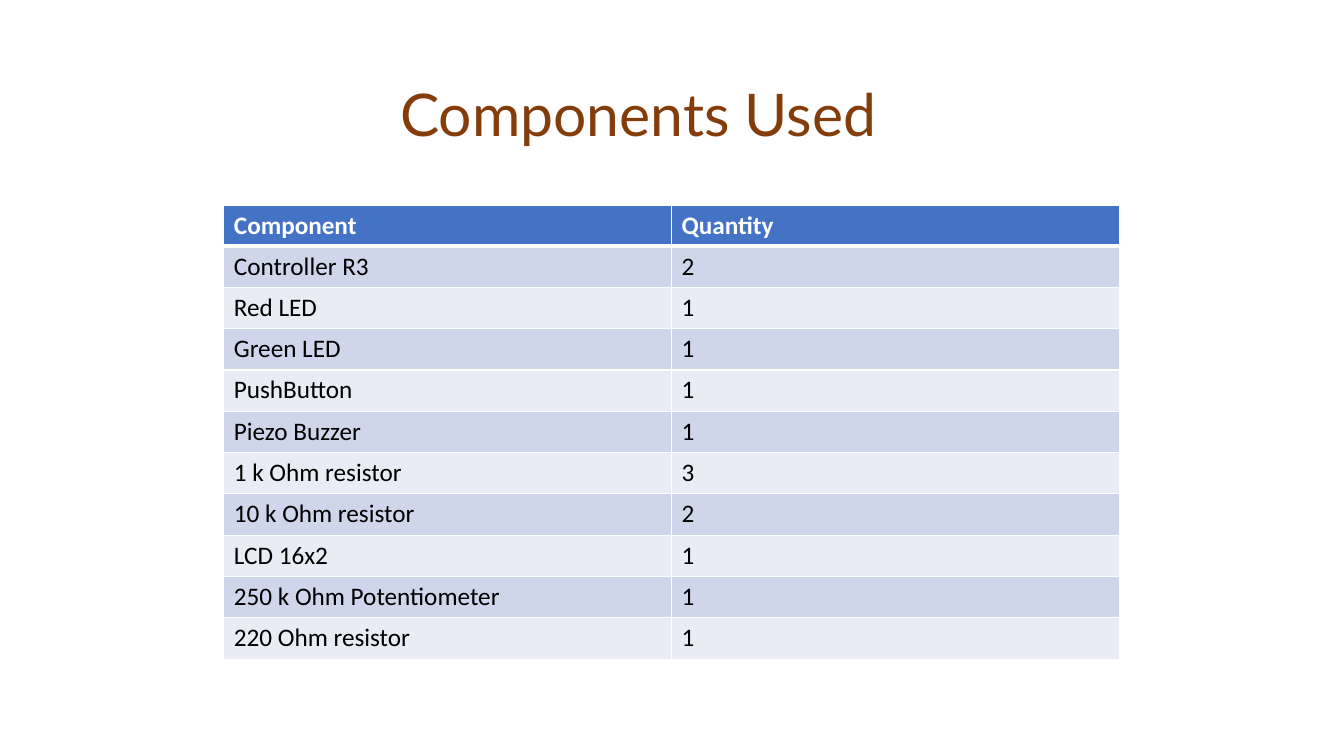
from lxml import etree
from pptx import Presentation
from pptx.dml.color import RGBColor
from pptx.enum import text
from pptx.oxml import ns
from pptx.util import Inches, Pt

BROWN = RGBColor(0x84, 0x3C, 0x0B)
BLUE = RGBColor(0x44, 0x72, 0xC4)
BAND_DARK = RGBColor(0xCF, 0xD5, 0xEA)
BAND_LIGHT = RGBColor(0xE9, 0xEB, 0xF5)
WHITE = RGBColor(0xFF, 0xFF, 0xFF)
BLACK = RGBColor(0, 0, 0)

COMPONENTS = [
    ("Component", "Quantity"),
    ("Controller R3", "2"),
    ("Red LED", "1"),
    ("Green LED", "1"),
    ("PushButton", "1"),
    ("Piezo Buzzer", "1"),
    ("1 k Ohm resistor", "3"),
    ("10 k Ohm resistor", "2"),
    ("LCD 16x2", "1"),
    ("250 k Ohm Potentiometer", "1"),
    ("220 Ohm resistor", "1"),
]


def style_text(paragraph, font_name, size, color, bold=False):
    font = paragraph.runs[0].font
    font.name = font_name
    font.size = Pt(size)
    font.color.rgb = color
    font.bold = bold


def add_border(cell, side, width):
    line = etree.SubElement(cell._tc.get_or_add_tcPr(), ns.qn(f"a:ln{side}"), w=str(Pt(width)))
    fill = etree.SubElement(line, ns.qn("a:solidFill"))
    etree.SubElement(fill, ns.qn("a:srgbClr"), val=str(WHITE))


prs = Presentation()
prs.slide_width = Inches(13.33)
prs.slide_height = Inches(7.5)
slide = prs.slides.add_slide(prs.slide_layouts[6])

heading = slide.shapes.add_textbox(Inches(1.67), Inches(0.49), Inches(10), Inches(1.04)).text_frame
heading.word_wrap = True
heading.vertical_anchor = text.MSO_ANCHOR.BOTTOM
heading.margin_left = Inches(2.3)
heading.text = "Components Used"
heading.paragraphs[0].line_spacing = 0.9
style_text(heading.paragraphs[0], "Lato", 42, BROWN)

parts = slide.shapes.add_table(
    len(COMPONENTS), 2, Inches(2.22), Inches(2.04), Inches(8.88), Inches(4.39)
).table
for row_index, values in enumerate(COMPONENTS):
    is_header = row_index == 0
    parts.rows[row_index].height = Inches(0.29 if is_header else 0.41)
    band = BAND_DARK if row_index % 2 else BAND_LIGHT
    for column_index, value in enumerate(values):
        cell = parts.cell(row_index, column_index)
        cell.text = value
        style_text(cell.text_frame.paragraphs[0], "Calibri", 18,
                   WHITE if is_header else BLACK, is_header)
        add_border(cell, "L", 1)
        add_border(cell, "R", 1)
        add_border(cell, "T", 3 if row_index == 1 else 1)
        add_border(cell, "B", 3 if is_header else 1)
        cell.fill.solid()
        cell.fill.fore_color.rgb = BLUE if is_header else band

prs.save("out.pptx")
